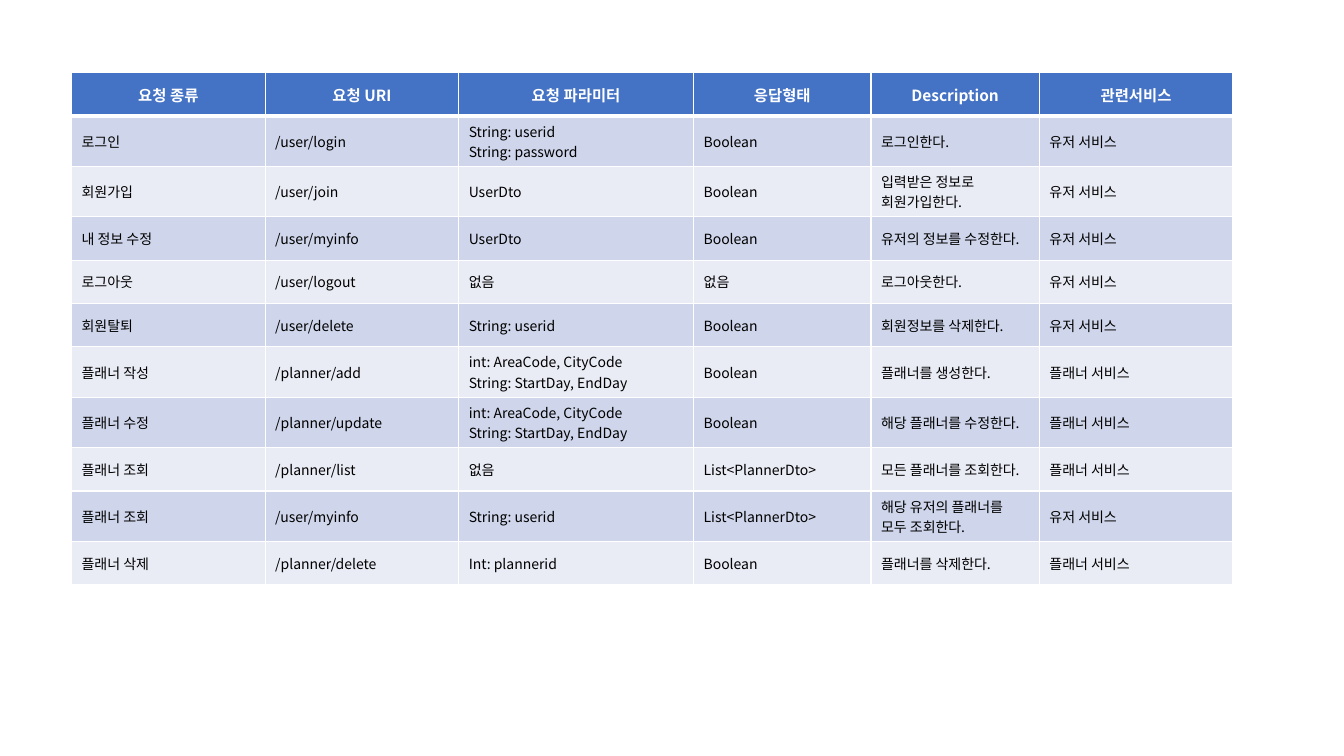
from lxml import etree
from pptx import Presentation
from pptx.dml.color import RGBColor
from pptx.enum.text import MSO_ANCHOR, PP_ALIGN
from pptx.oxml.ns import qn
from pptx.util import Inches, Pt

HEADINGS = ("요청 종류", "요청 URI", "요청 파라미터", "응답형태", "Description", "관련서비스")
USER, PLANNER = "유저 서비스", "플래너 서비스"
PLAN_FIELDS = "int: AreaCode, CityCode\nString: StartDay, EndDay"
REQUESTS = [
    ("로그인", "/user/login", "String: userid\nString: password", "Boolean", "로그인한다.", USER),
    ("회원가입", "/user/join", "UserDto", "Boolean", "입력받은 정보로 회원가입한다.", USER),
    ("내 정보 수정", "/user/myinfo", "UserDto", "Boolean", "유저의 정보를 수정한다.", USER),
    ("로그아웃", "/user/logout", "없음", "없음", "로그아웃한다.", USER),
    ("회원탈퇴", "/user/delete", "String: userid", "Boolean", "회원정보를 삭제한다.", USER),
    ("플래너 작성", "/planner/add", PLAN_FIELDS, "Boolean", "플래너를 생성한다.", PLANNER),
    ("플래너 수정", "/planner/update", PLAN_FIELDS, "Boolean", "해당 플래너를 수정한다.", PLANNER),
    ("플래너 조회", "/planner/list", "없음", "List<PlannerDto>", "모든 플래너를 조회한다.", PLANNER),
    ("플래너 조회", "/user/myinfo", "String: userid", "List<PlannerDto>",
     "해당 유저의 플래너를 모두 조회한다.", USER),
    ("플래너 삭제", "/planner/delete", "Int: plannerid", "Boolean", "플래너를 삭제한다.", PLANNER),
]
COLUMN_WIDTHS = (1.92, 1.92, 2.33, 1.76, 1.67, 1.92)
ROW_HEIGHT = 0.43
LEFT, TOP = 0.71, 0.72

FONT = "Noto Sans CJK KR"
WHITE = RGBColor(0xFF, 0xFF, 0xFF)
BLACK = RGBColor(0x00, 0x00, 0x00)
HEADER_BLUE = RGBColor(0x44, 0x72, 0xC4)
BANDS = (RGBColor(0xCF, 0xD5, 0xEA), RGBColor(0xE9, 0xEB, 0xF5))
HEADER_FORMAT = {"size": Pt(11), "bold": True, "name": FONT}
BODY_FORMAT = {"size": Pt(10), "bold": False, "name": FONT}
MIDDLE, CENTER, LEFT_ALIGN = MSO_ANCHOR.MIDDLE, PP_ALIGN.CENTER, PP_ALIGN.LEFT


def add_borders(cell, top, bottom):
    """Draw white cell edges; top and bottom are widths in points."""
    properties = cell._tc.get_or_add_tcPr()
    for edge, width in (("lnL", 1), ("lnR", 1), ("lnT", top), ("lnB", bottom)):
        line = etree.SubElement(properties, qn(f"a:{edge}"), w=str(Pt(width)))
        fill = etree.SubElement(line, qn("a:solidFill"))
        etree.SubElement(fill, qn("a:srgbClr"), val=str(WHITE))


def fill_cell(cell, text, row):
    header = row == 0
    add_borders(cell, top=3 if row == 1 else 1, bottom=3 if header else 1)
    cell.fill.solid()
    cell.fill.fore_color.rgb = HEADER_BLUE if header else BANDS[(row - 1) % 2]
    cell.vertical_anchor = MIDDLE
    cell.text = text
    for paragraph in cell.text_frame.paragraphs:
        paragraph.alignment = CENTER if header else LEFT_ALIGN
        for run in paragraph.runs:
            for attribute, value in (HEADER_FORMAT if header else BODY_FORMAT).items():
                setattr(run.font, attribute, value)
            run.font.color.rgb = WHITE if header else BLACK
            etree.SubElement(run._r.get_or_add_rPr(), qn("a:ea"), typeface=FONT)


def main():
    presentation = Presentation()
    presentation.slide_width, presentation.slide_height = Inches(13.33), Inches(7.5)
    slide = presentation.slides.add_slide(presentation.slide_layouts[6])

    rows = [HEADINGS, *REQUESTS]
    api_table = slide.shapes.add_table(
        len(rows), len(HEADINGS), Inches(LEFT), Inches(TOP),
        Inches(sum(COLUMN_WIDTHS)), Inches(ROW_HEIGHT * len(rows))).table
    for column, width in zip(api_table.columns, COLUMN_WIDTHS):
        column.width = Inches(width)
    for row, texts in enumerate(rows):
        api_table.rows[row].height = Inches(ROW_HEIGHT)
        for column, text in enumerate(texts):
            fill_cell(api_table.cell(row, column), text, row)

    presentation.save("out.pptx")


if __name__ == "__main__":
    main()
